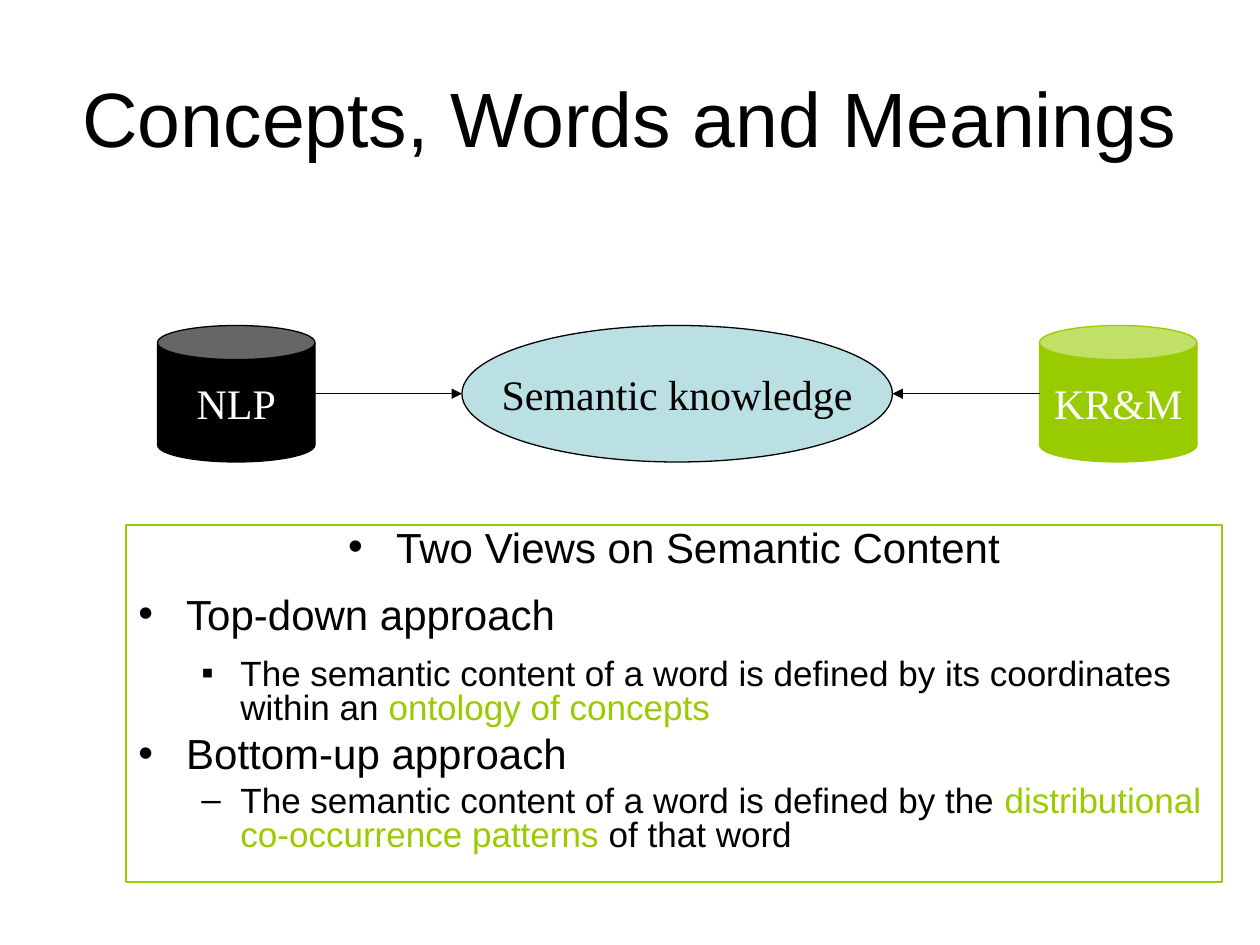
"""Build a slide on how NLP and KR&M meet in semantic knowledge, with two views on content."""
import lxml.etree
import pptx
import pptx.dml.color
import pptx.enum.shapes
import pptx.enum.text
import pptx.oxml.ns
import pptx.util

BLACK = pptx.dml.color.RGBColor(0x00, 0x00, 0x00)
WHITE = pptx.dml.color.RGBColor(0xFF, 0xFF, 0xFF)
GREEN = pptx.dml.color.RGBColor(0x99, 0xCC, 0x00)
PALE_BLUE = pptx.dml.color.RGBColor(0xBB, 0xE0, 0xE3)
SHAPES = pptx.enum.shapes.MSO_SHAPE
ALIGN = pptx.enum.text.PP_ALIGN
ANCHOR = pptx.enum.text.MSO_ANCHOR
Pt = pptx.util.Pt
qn = pptx.oxml.ns.qn

presentation = pptx.Presentation()
presentation.slide_width = pptx.util.Inches(10)
presentation.slide_height = pptx.util.Inches(7.5)
COLUMN = presentation.slide_width // 120
ROW = presentation.slide_height // 90
slide = presentation.slides.add_slide(presentation.slide_layouts[6])


def set_values(target, values):
    for name, value in values.items():
        setattr(target, name, value)


def add_run(paragraph, text, font_name, size, color):
    run = paragraph.add_run()
    run.text = text
    set_values(run.font, {"name": font_name, "size": Pt(size)})
    run.font.color.rgb = color


title = slide.shapes.add_textbox(6 * COLUMN, 3.6 * ROW, 108 * COLUMN, 15 * ROW)
set_values(title.text_frame, {"word_wrap": True, "vertical_anchor": ANCHOR.MIDDLE})
title_paragraph = title.text_frame.paragraphs[0]
title_paragraph.alignment = ALIGN.CENTER
add_run(title_paragraph, "Concepts, Words and Meanings", "Arial", 44, BLACK)

views = slide.shapes.add_shape(SHAPES.RECTANGLE, 12 * COLUMN, 50 * ROW, 104.4 * COLUMN, 34 * ROW)
views.shadow.inherit = False
views.fill.background()
views.line.color.rgb = GREEN
views.line.width = Pt(0.75)
set_values(views.text_frame, {"word_wrap": True, "vertical_anchor": ANCHOR.TOP})

LEVELS = [
    {"size": 24, "margin": 0.38, "indent": -0.38},
    {"size": 20, "margin": 0.81, "indent": -0.31},
]
VIEW_LINES = [
    (0, "•", ALIGN.CENTER, 0, [("Two Views on Semantic Content", BLACK)]),
    (0, "•", ALIGN.LEFT, 15, [("Top-down approach", BLACK)]),
    (1, "▪", ALIGN.LEFT, 12.5, [
        ("The semantic content of a word is defined by its coordinates within an ", BLACK),
        ("ontology of concepts", GREEN),
    ]),
    (0, "•", ALIGN.LEFT, 6, [("Bottom-up approach", BLACK)]),
    (1, "–", ALIGN.LEFT, 5, [
        ("The semantic content of a word is defined by the ", BLACK),
        ("distributional co-occurrence patterns", GREEN),
        (" of that word", BLACK),
    ]),
]
for index, (level, bullet, alignment, space_before, runs) in enumerate(VIEW_LINES):
    frame = views.text_frame
    paragraph = frame.add_paragraph() if index else frame.paragraphs[0]
    style = LEVELS[level]
    properties = paragraph._p.get_or_add_pPr()
    properties.set("marL", str(pptx.util.Inches(style["margin"])))
    properties.set("indent", str(pptx.util.Inches(style["indent"])))
    bullet_color = lxml.etree.SubElement(properties, qn("a:buClr"))
    lxml.etree.SubElement(bullet_color, qn("a:srgbClr"), val=str(BLACK))
    lxml.etree.SubElement(properties, qn("a:buFont"), typeface="Arial")
    lxml.etree.SubElement(properties, qn("a:buChar"), char=bullet)
    set_values(paragraph, {
        "level": level,
        "alignment": alignment,
        "line_spacing": 0.8,
        "space_before": Pt(space_before),
    })
    for text, color in runs:
        add_run(paragraph, text, "Arial", style["size"], color)

NODES = [
    (SHAPES.OVAL, 44, 41, "Semantic knowledge", PALE_BLUE, BLACK, BLACK),
    (SHAPES.CAN, 15, 15, "NLP", BLACK, BLACK, WHITE),
    (SHAPES.CAN, 99, 15, "KR&M", GREEN, GREEN, WHITE),
]
for kind, left, width, label, fill_color, line_color, text_color in NODES:
    node = slide.shapes.add_shape(kind, left * COLUMN, 31 * ROW, width * COLUMN, 13 * ROW)
    node.shadow.inherit = False
    node.fill.solid()
    node.fill.fore_color.rgb = fill_color
    node.line.color.rgb = line_color
    node.line.width = Pt(0.75)
    set_values(node.text_frame, {"word_wrap": False, "vertical_anchor": ANCHOR.MIDDLE})
    node_paragraph = node.text_frame.paragraphs[0]
    node_paragraph.alignment = ALIGN.CENTER
    add_run(node_paragraph, label, "Times New Roman", 24, text_color)

for start, end in [(30, 44), (99, 85)]:
    arrow = slide.shapes.add_connector(
        pptx.enum.shapes.MSO_CONNECTOR.STRAIGHT,
        start * COLUMN, round(37.5 * ROW), end * COLUMN, round(37.5 * ROW),
    )
    arrow.line.color.rgb = BLACK
    arrow.line.width = Pt(0.75)
    lxml.etree.SubElement(arrow.line._get_or_add_ln(), qn("a:tailEnd"), type="triangle")
    lxml.etree.SubElement(arrow._element.spPr, qn("a:effectLst"))

presentation.save("out.pptx")
